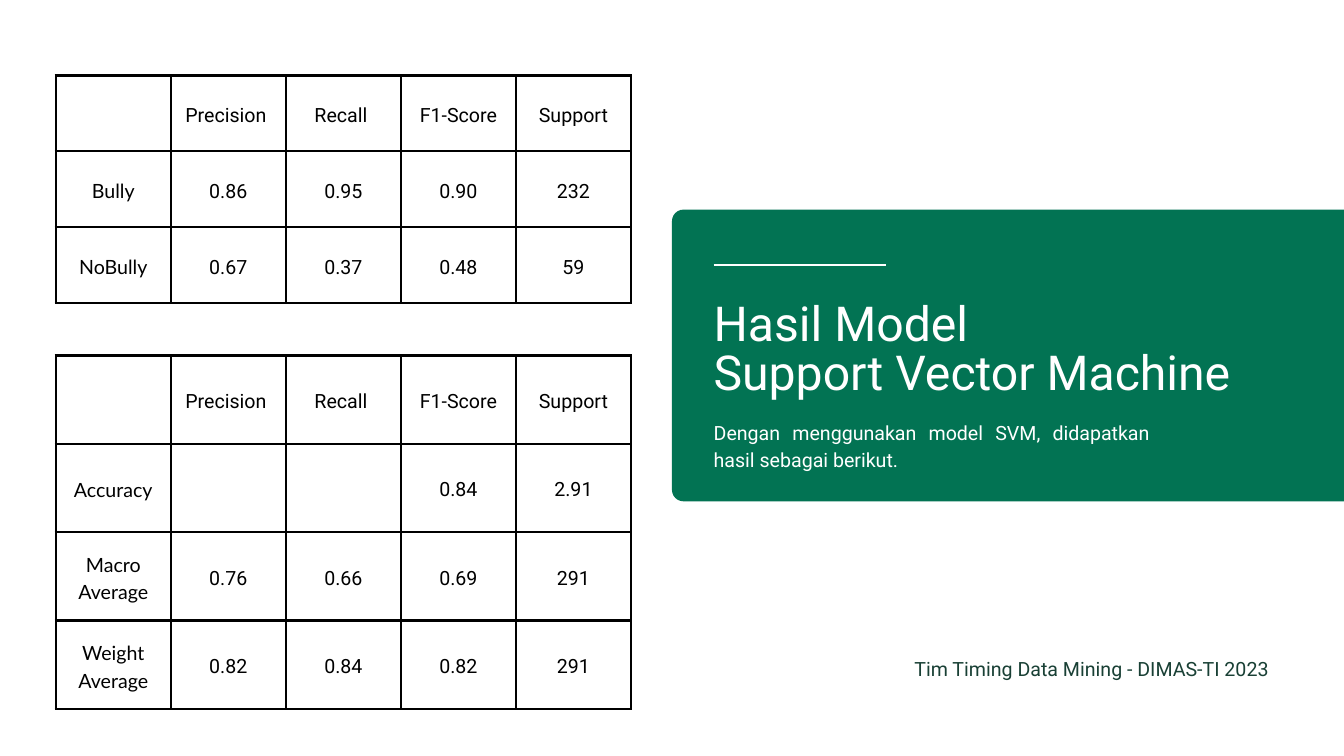
from pptx import Presentation
from pptx.dml.color import RGBColor
from pptx.enum.shapes import MSO_CONNECTOR as CONN, MSO_SHAPE as SHAPE
from pptx.enum.text import MSO_ANCHOR as ANCHOR, MSO_AUTO_SIZE as AUTO, PP_ALIGN as ALIGN
from pptx.oxml import parse_xml
from pptx.oxml.ns import nsdecls
from pptx.util import Emu, Pt

PX = 9144
GREEN, DARK, WHITE, BLACK = "027353", "194035", "FFFFFF", "000000"
HEADER = ["", "Precision ", "Recall ", "F1-Score", "Support"]
CLASS_ROWS = [
    HEADER,
    ["Bully", "0.86", "0.95", "0.90", "232"],
    ["NoBully", "0.67", "0.37", "0.48", "59"],
]
AVERAGE_ROWS = [
    HEADER,
    ["Accuracy", "", "", "0.84", "2.91"],
    ["Macro Average", "0.76", "0.66", "0.69", "291"],
    ["Weight Average", "0.82", "0.84", "0.82", "291"],
]


def px(n):
    return Emu(int(n * PX))


def rgb(color):
    return RGBColor.from_string(color)


class Deck:
    """Holds the text style and the current slide."""

    font, label_font, size, leading = "Roboto", "Lato", 21, 29.4

    def __init__(self, width, height):
        self.prs = Presentation()
        self.prs.slide_width, self.prs.slide_height = px(width), px(height)
        self.slide = self.prs.slides.add_slide(self.prs.slide_layouts[6])

    def add_text_run(self, p, text, color, align, size=None, leading=None, font=None):
        p.alignment = align
        p.line_spacing = Pt(leading or self.leading)
        r = p.add_run()
        r.text = text
        r.font.size = Pt(size or self.size)
        r.font.name = font or self.font
        r.font.color.rgb = rgb(color)

    def panel(self, x, y, w, h, radius, color):
        sp = self.slide.shapes.add_shape(SHAPE.ROUNDED_RECTANGLE, px(x), px(y), px(w), px(h))
        sp.adjustments[0] = radius / min(w, h)
        sp.shadow.inherit = False
        sp.fill.solid()
        sp.fill.fore_color.rgb = rgb(color)
        sp.line.fill.background()

    def rule(self, x1, x2, y, color, weight):
        line = self.slide.shapes.add_connector(CONN.STRAIGHT, px(x1), px(y), px(x2), px(y))
        line.line.color.rgb = rgb(color)
        line.line.width = Pt(weight)
        line._element.spPr.append(parse_xml(f"<a:effectLst {nsdecls('a')}/>"))

    def text(self, x, y, w, h, lines, color, align=ALIGN.LEFT, size=None, leading=None):
        tf = self.slide.shapes.add_textbox(px(x), px(y), px(w), px(h)).text_frame
        tf.word_wrap = True
        tf.auto_size = AUTO.SHAPE_TO_FIT_TEXT
        tf.margin_left = tf.margin_right = tf.margin_top = tf.margin_bottom = 0
        for i, line in enumerate(lines):
            p = tf.add_paragraph() if i else tf.paragraphs[0]
            self.add_text_run(p, line, color, align, size, leading)

    def border(self, cell, color, weight):
        for side in ("lnL", "lnR", "lnT", "lnB"):
            cell._tc.get_or_add_tcPr().append(parse_xml(
                f'<a:{side} {nsdecls("a")} w="{Pt(weight)}"><a:solidFill>'
                f'<a:srgbClr val="{color}"/></a:solidFill></a:{side}>'))

    def table(self, x, y, w, h, rows):
        n, m = len(rows), len(rows[0])
        table = self.slide.shapes.add_table(n, m, px(x), px(y), px(w), px(h)).table
        table.first_row = table.horz_banding = False
        for col in table.columns:
            col.width = px(w / m)
        for row, values in zip(table.rows, rows):
            row.height = px(h / n)
            for j, (cell, value) in enumerate(zip(row.cells, values)):
                self.border(cell, BLACK, 3)
                cell.fill.background()
                cell.vertical_anchor = ANCHOR.MIDDLE
                cell.margin_left = cell.margin_right = px(21)
                cell.margin_top = cell.margin_bottom = px(21)
                if value:
                    p = cell.text_frame.paragraphs[0]
                    font = self.font if j else self.label_font
                    self.add_text_run(p, value, BLACK, ALIGN.CENTER, font=font)


def main():
    deck = Deck(2000, 1125)
    deck.panel(1000, 312, 1410, 434, 17, GREEN)
    deck.rule(1062, 1318, 394, WHITE, 2.25)
    deck.table(83, 112, 856, 339, CLASS_ROWS)
    deck.text(1062, 449, 784, 150, ["Hasil Model", "Support Vector Machine"], WHITE,
              size=51.6, leading=52.6)
    deck.text(1062, 620, 649, 81,
              ["Dengan menggunakan model SVM, didapatkan hasil sebagai berikut."],
              WHITE, ALIGN.JUSTIFY)
    deck.text(1353, 972, 535, 40, ["Tim Timing Data Mining - DIMAS-TI 2023"], DARK, ALIGN.RIGHT)
    deck.table(83, 529, 856, 526, AVERAGE_ROWS)
    deck.prs.save("out.pptx")


if __name__ == "__main__":
    main()
